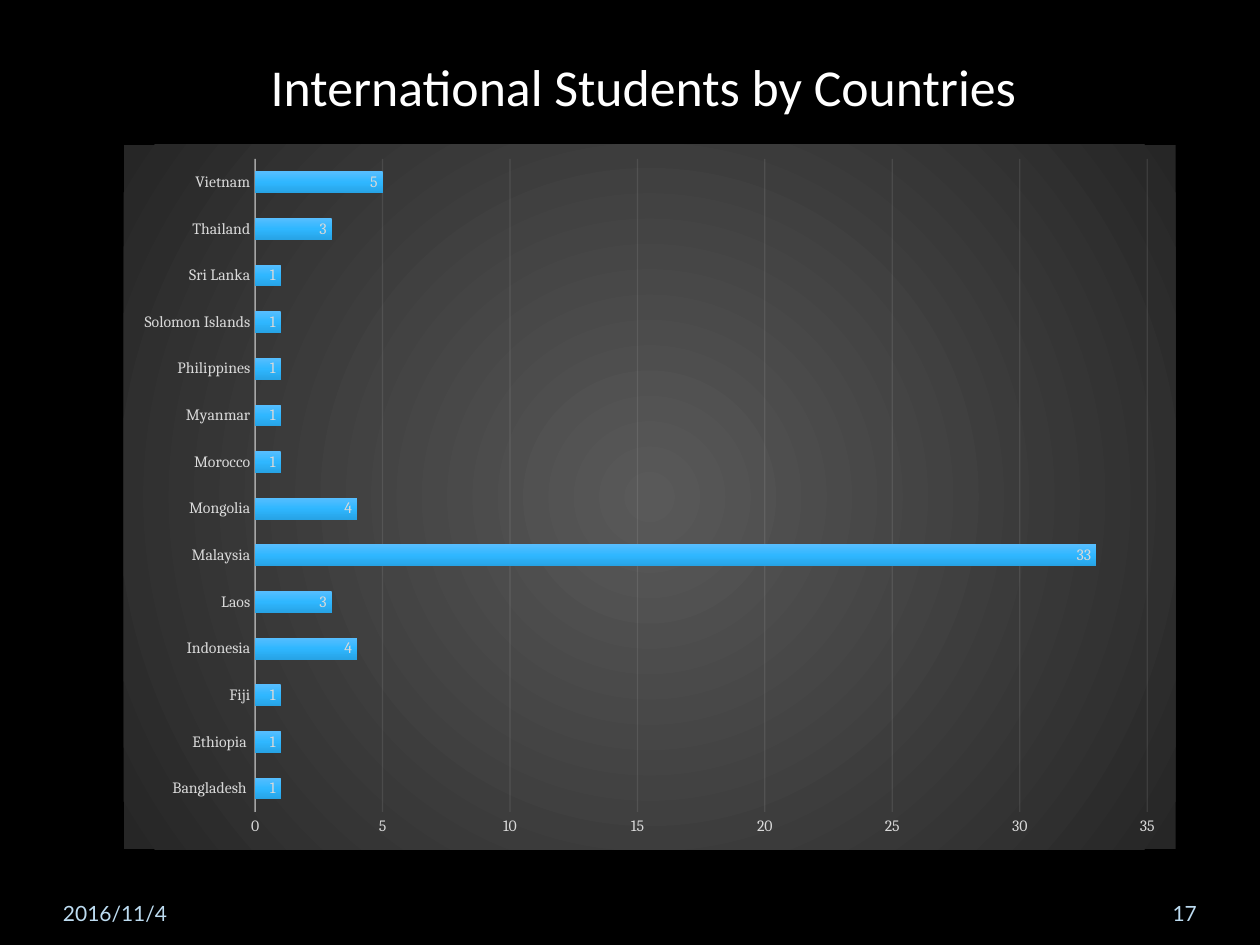
from lxml import etree
from pptx import Presentation
from pptx.chart.data import CategoryChartData
from pptx.dml.color import RGBColor
from pptx.enum.chart import XL_CHART_TYPE, XL_LABEL_POSITION, XL_TICK_MARK
from pptx.enum.text import MSO_ANCHOR, MSO_AUTO_SIZE, PP_ALIGN
from pptx.oxml import parse_xml
from pptx.oxml.ns import qn
from pptx.util import Cm, Pt

BAR = XL_CHART_TYPE.BAR_CLUSTERED
INSIDE_END = XL_LABEL_POSITION.INSIDE_END
NO_TICK = XL_TICK_MARK.NONE
BOTTOM = MSO_ANCHOR.BOTTOM
NO_AUTOFIT = MSO_AUTO_SIZE.NONE
LEFT, CENTER, RIGHT = PP_ALIGN.LEFT, PP_ALIGN.CENTER, PP_ALIGN.RIGHT

NAMESPACES = (
    'xmlns:a="http://schemas.openxmlformats.org/drawingml/2006/main" '
    'xmlns:c="http://schemas.openxmlformats.org/drawingml/2006/chart"'
)
RADIAL = ('<a:path path="circle"><a:fillToRect l="50000" t="50000" '
          'r="50000" b="50000"/></a:path>')
DOWNWARD = '<a:lin ang="5400000" scaled="0"/>'

STUDENTS = {
    "Bangladesh ": 1, "Ethiopia ": 1, "Fiji": 1, "Indonesia": 4, "Laos": 3,
    "Malaysia": 33, "Mongolia": 4, "Morocco": 1, "Myanmar": 1,
    "Philippines": 1, "Solomon Islands": 1, "Sri Lanka": 1, "Thailand": 3,
    "Vietnam": 5,
}


def rgb(hex_color):
    return RGBColor.from_string(hex_color)


def set_font(font, name, size, color):
    font.name = name
    font.size = Pt(size)
    font.color.rgb = rgb(color)
    font.bold = False


def write_text(frame, text, *, font, size, color, align=LEFT, top=0):
    frame.word_wrap = True
    frame.auto_size = NO_AUTOFIT
    frame.vertical_anchor = BOTTOM
    frame.margin_left = frame.margin_right = frame.margin_bottom = 0
    frame.margin_top = Cm(top)
    paragraph = frame.paragraphs[0]
    paragraph.alignment = align
    run = paragraph.add_run()
    run.text = text
    set_font(run.font, font, size, color)


def gradient(stops, direction):
    stop_xml = "".join(
        f'<a:gs pos="{position * 1000}"><a:srgbClr val="{color}"/></a:gs>'
        for position, color in stops)
    return (f'<a:gradFill {NAMESPACES} rotWithShape="1">'
            f'<a:gsLst>{stop_xml}</a:gsLst>{direction}</a:gradFill>')


class StudentSlide:
    heading_font, chart_font, footer_font = "Calibri", "Cambria", "Lato"
    white, pale, line_color, footer_color = "FFFFFF", "D9D9D9", "F2F2F2", "BDDCF1"

    def __init__(self, presentation):
        self.slide = presentation.slides.add_slide(presentation.slide_layouts[5])
        background = self.slide.background.fill
        background.solid()
        background.fore_color.rgb = rgb("000000")

    def title(self, text, left, top, width, height):
        heading = self.slide.shapes.title
        heading.left, heading.top = Cm(left), Cm(top)
        heading.width, heading.height = Cm(width), Cm(height)
        write_text(heading.text_frame, text, font=self.heading_font, size=29.6,
                   color=self.white, align=CENTER, top=0.13)

    def footer(self, text, left, width, align=LEFT):
        box = self.slide.shapes.add_textbox(Cm(left), Cm(17.65), Cm(width), Cm(1.02))
        write_text(box.text_frame, text, font=self.footer_font, size=12,
                   color=self.footer_color, align=align)

    def style_line(self, line, width, holder, alpha):
        line.color.rgb = rgb(self.line_color)
        line.width = Pt(width)
        color = next(holder.iter(qn("a:srgbClr")))
        etree.SubElement(color, qn("a:alpha"), val=str(alpha * 1000))

    def bar_chart(self, counts, left, top, width, height):
        data = CategoryChartData()
        data.categories = list(counts)
        data.add_series("Series 1", list(counts.values()))
        chart = self.slide.shapes.add_chart(
            BAR, Cm(left), Cm(top), Cm(width), Cm(height), data).chart
        chart.has_title = chart.has_legend = False
        set_font(chart.font, self.chart_font, 10, self.white)
        root = chart.element

        # Axes and grid
        countries, scale = chart.category_axis, chart.value_axis
        for axis in (countries, scale):
            axis.major_tick_mark = axis.minor_tick_mark = NO_TICK
            set_font(axis.tick_labels.font, self.chart_font, 9, self.pale)
        scale.minimum_scale, scale.maximum_scale, scale.major_unit = 0, 35, 5
        scale.format.line.fill.background()
        countries.has_major_gridlines = False
        scale.has_major_gridlines = True
        self.style_line(countries.format.line, 1,
                        next(root.iter(qn("c:catAx"))).find(qn("c:spPr")), 54)
        self.style_line(scale.major_gridlines.format.line, 0.75,
                        next(root.iter(qn("c:majorGridlines"))), 10)

        # Bars and their values
        plot = chart.plots[0]
        plot.gap_width, plot.overlap = 115, -20
        plot.vary_by_categories = False
        bars = plot.series[0]
        bars.invert_if_negative = False
        bars.format.fill.solid()
        bar_style = next(root.iter(qn("c:ser"))).find(qn("c:spPr"))
        bar_style.replace(bar_style.find(qn("a:solidFill")), parse_xml(gradient(
            [(0, "57BEFF"), (50, "2FB7FF"), (100, "27A3E5")], DOWNWARD)))
        labels = bars.data_labels
        labels.show_value = True
        labels.position = INSIDE_END
        set_font(labels.font, self.chart_font, 9, self.pale)

        # Chart background
        backdrop = gradient([(0, "595959"), (100, "262626")], RADIAL)
        root.find(qn("c:chart")).addnext(parse_xml(
            f'<c:spPr {NAMESPACES}>{backdrop}<a:ln><a:noFill/></a:ln></c:spPr>'))


def main():
    presentation = Presentation()
    presentation.slide_width, presentation.slide_height = Cm(25.4), Cm(19.05)
    page = StudentSlide(presentation)
    page.title("International Students by Countries ", 5.1, 0.79, 16, 1.57)
    page.footer("2016/11/4", 1.27, 5.92)
    page.footer("17", 22.02, 2.11, RIGHT)
    page.bar_chart(STUDENTS, 2.49, 2.92, 21.21, 14.2)
    presentation.save("out.pptx")


if __name__ == "__main__":
    main()
